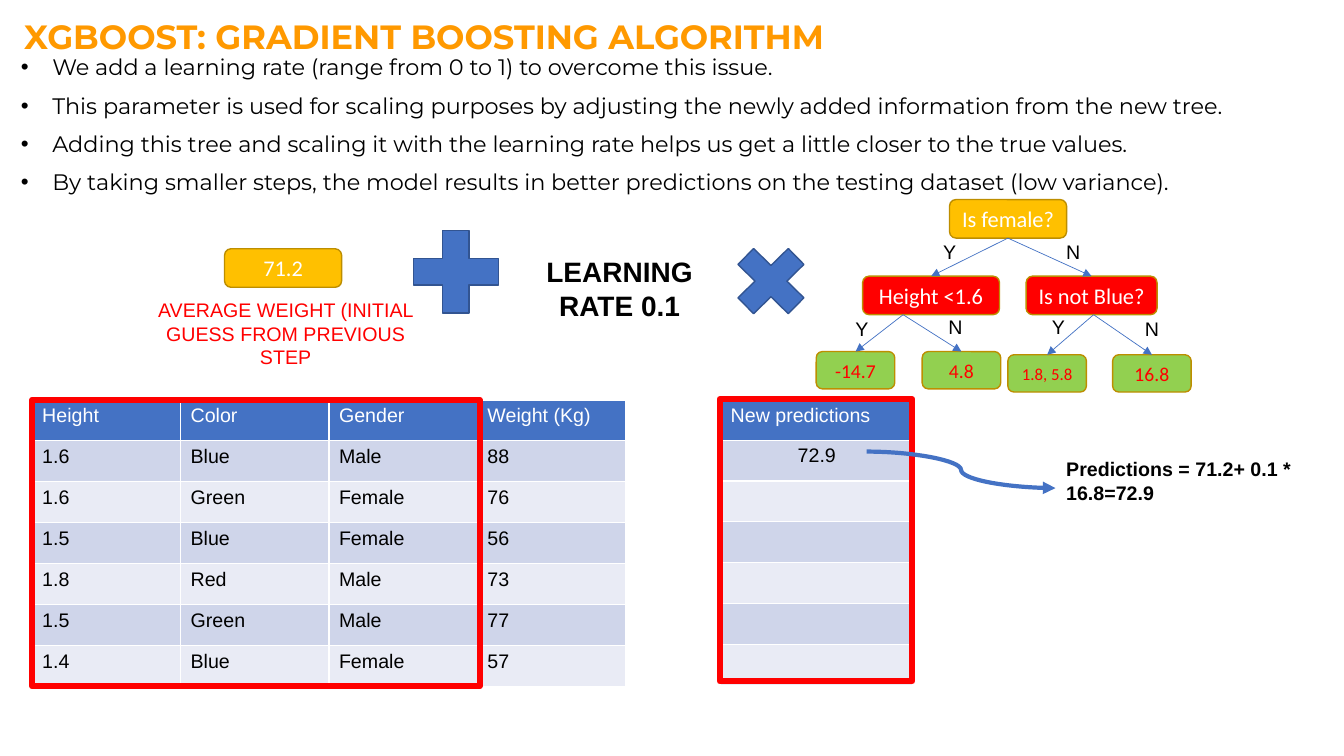
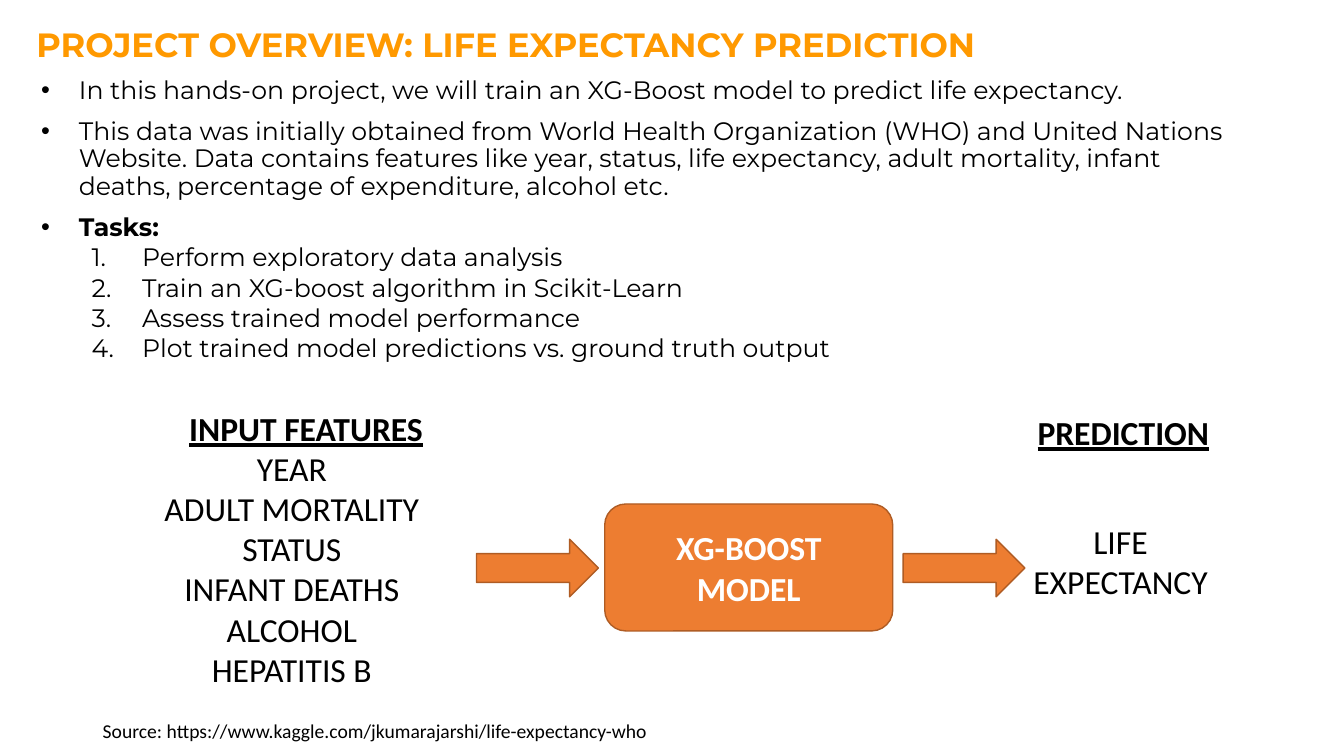
from lxml import etree
from pptx import Presentation
from pptx.dml.color import RGBColor
from pptx.enum.shapes import MSO_CONNECTOR, MSO_SHAPE
from pptx.enum.text import MSO_ANCHOR, PP_ALIGN
from pptx.oxml.ns import qn
from pptx.util import Cm, Pt

# Shared style
HEADING, BODY, PLAIN = "Montserrat", "Calibri", "Arial"
ORANGE_TITLE, BLACK, WHITE, RED = "FF9900", "000000", "FFFFFF", "FF0000"
BLUE, BLUE_EDGE = "4472C4", "325491"
GOLD, GOLD_EDGE, GREEN = "FFC000", "BD8E00", "92D050"
ORANGE, ORANGE_EDGE = "ED7D31", "AF5C24"
BANDS = ("CFD5EA", "E9EBF5")
ROW_HEIGHT = 1.03

# Boosting slide content (positions in cm: left, top, width, height)
BOOSTING_TITLE = "XGBOOST: GRADIENT BOOSTING ALGORITHM"
BOOSTING_POINTS = [
    "We add a learning rate (range from 0 to 1) to overcome this issue.",
    "This parameter is used for scaling purposes by adjusting the newly added information from the new tree.",
    "Adding this tree and scaling it with the learning rate helps us get a little closer to the true values.",
    "By taking smaller steps, the model results in better predictions on the testing dataset (low variance).",
]
# name: (text, box, fill, text colour, text size)
TREE_NODES = {
    "root": ("Is female?", (23.93, 5.03, 2.95, 0.97), GOLD, WHITE, 16),
    "height": ("Height <1.6", (21.74, 6.96, 3.45, 0.97), RED, WHITE, 16),
    "colour": ("Is not Blue?", (25.86, 6.96, 3.3, 0.97), RED, WHITE, 16),
    "leaf 1": ("-14.7", (20.57, 8.86, 1.98, 0.94), GREEN, RED, 14),
    "leaf 2": ("4.8", (23.24, 8.86, 1.98, 0.94), GREEN, RED, 14),
    "leaf 3": ("1.8, 5.8", (25.4, 8.94, 1.98, 0.94), GREEN, RED, 12),
    "leaf 4": ("16.8", (28.04, 8.94, 1.98, 0.94), GREEN, RED, 14),
}
# parent: (x where its branches start, children)
TREE_BRANCHES = {
    "root": (25.4, ("height", "colour")),
    "height": (22.76, ("leaf 1", "leaf 2")),
    "colour": (27.56, ("leaf 3", "leaf 4")),
}
BRANCH_LABELS = [
    ("Y", 23.52, 5.92), ("N", 26.62, 5.92), ("Y", 21.31, 7.87),
    ("N", 23.65, 7.8), ("Y", 26.26, 7.8), ("N", 28.6, 7.85),
]
WEIGHT_ROWS = [
    ("Height", "Color", "Gender", "Weight (Kg)"),
    ("1.6", "Blue", "Male", "88"),
    ("1.6", "Green", "Female", "76"),
    ("1.5", "Blue", "Female", "56"),
    ("1.8", "Red", "Male", "73"),
    ("1.5", "Green", "Male", "77"),
    ("1.4", "Blue", "Female", "57"),
]
PREDICTION_ROWS = [("New predictions",), ("72.9",)] + [("",)] * 5

# Project slide content
PROJECT_TITLE = "PROJECT OVERVIEW: LIFE EXPECTANCY PREDICTION"
PROJECT_POINTS = [
    "In this hands-on project, we will train an XG-Boost model to predict life expectancy.",
    "This data was initially obtained from World Health Organization (WHO) and United Nations Website. "
    "Data contains features like year, status, life expectancy, adult mortality, infant deaths, "
    "percentage of expenditure, alcohol etc.",
    "Tasks:",
]
TASKS = [
    "Perform exploratory data analysis",
    "Train an XG-boost algorithm in Scikit-Learn",
    "Assess trained model performance",
    "Plot trained model predictions vs. ground truth output",
]
FEATURES = ["YEAR", "ADULT MORTALITY", "STATUS", "INFANT DEATHS", "ALCOHOL", "HEPATITIS B"]
SOURCE = "Source: https://www.kaggle.com/jkumarajarshi/life-expectancy-who"


def rgb(value):
    return RGBColor.from_string(value)


def cm(values):
    return [Cm(value) for value in values]


def format_runs(paragraph, size, font, color, bold=False, underline=False):
    for run in paragraph.runs:
        run.font.size = Pt(size)
        run.font.name = font
        run.font.color.rgb = rgb(color)
        run.font.bold = bold
        run.font.underline = underline


def write_text(shape, lines, size, font=BODY, color=BLACK, bold=False, underline=False,
               centered=False, wrap=True, margin=0.25):
    frame = shape.text_frame
    frame.word_wrap = wrap
    frame.margin_left = frame.margin_right = Cm(margin)
    frame.text = "\n".join(lines) if isinstance(lines, list) else lines
    for paragraph in frame.paragraphs:
        paragraph.alignment = PP_ALIGN.CENTER if centered else PP_ALIGN.LEFT
        format_runs(paragraph, size, font, color, bold, underline)


def add_text(slide, box, lines, size, **style):
    shape = slide.shapes.add_textbox(*cm(box))
    write_text(shape, lines, size, **style)
    return shape


def add_title(slide, box, text):
    add_text(slide, box, text, 24, font=HEADING, color=ORANGE_TITLE, bold=True, margin=0.13)


def add_box(slide, kind, box, fill=None, edge=BLACK, edge_width=1):
    shape = slide.shapes.add_shape(kind, *cm(box))
    shape.shadow.inherit = False
    if fill:
        shape.fill.solid()
        shape.fill.fore_color.rgb = rgb(fill)
    else:
        shape.fill.background()
    shape.line.color.rgb = rgb(edge)
    shape.line.width = Pt(edge_width)
    shape.text_frame.vertical_anchor = MSO_ANCHOR.MIDDLE
    return shape


def add_node(slide, text, box, fill, color, size):
    shape = add_box(slide, MSO_SHAPE.ROUNDED_RECTANGLE, box, fill, GOLD_EDGE)
    write_text(shape, text, size, color=color, centered=True, wrap=False)


def add_arrow(slide, kind, start, end, width):
    connector = slide.shapes.add_connector(kind, *cm(start + end))
    connector.line.color.rgb = rgb(BLUE)
    connector.line.width = Pt(width)
    line = connector.line._get_or_add_ln()
    etree.SubElement(line, qn("a:tailEnd"), type="triangle")
    etree.SubElement(connector._element.spPr, qn("a:effectLst"))


def set_bullet(paragraph, left, hanging, tag, **attributes):
    properties = paragraph._p.get_or_add_pPr()
    properties.set("marL", str(Cm(left)))
    properties.set("indent", str(-Cm(hanging)))
    color = etree.SubElement(properties, qn("a:buClr"))
    etree.SubElement(color, qn("a:srgbClr"), val=BLACK)
    if tag == "a:buChar":
        etree.SubElement(properties, qn("a:buFont"), typeface=PLAIN)
    etree.SubElement(properties, qn(tag), **attributes)


def add_points(slide, box, points, size, indent, tasks=()):
    shape = add_text(slide, box, [*points, *tasks], size, font=HEADING)
    for index, paragraph in enumerate(shape.text_frame.paragraphs):
        if index >= len(points):
            paragraph.level = 1
            set_bullet(paragraph, 2.54, 1.27, "a:buAutoNum", type="arabicPeriod")
            continue
        set_bullet(paragraph, indent, indent, "a:buChar", char="•")
        paragraph.line_spacing = 0.9
        if index:
            paragraph.space_before = Pt(10)
    return shape


def add_data_table(slide, left, top, column_width, rows, centered=False):
    columns = len(rows[0])
    table = slide.shapes.add_table(len(rows), columns, *cm(
        (left, top, column_width * columns, ROW_HEIGHT * len(rows)))).table
    for column in table.columns:
        column.width = Cm(column_width)
    for row_index, row in enumerate(rows):
        table.rows[row_index].height = Cm(ROW_HEIGHT)
        for column_index, text in enumerate(row):
            cell = table.cell(row_index, column_index)
            header = row_index == 0
            cell.fill.solid()
            cell.fill.fore_color.rgb = rgb(BLUE if header else BANDS[(row_index - 1) % 2])
            cell.text_frame.text = text
            paragraph = cell.text_frame.paragraphs[0]
            if centered and not header:
                paragraph.alignment = PP_ALIGN.CENTER
            format_runs(paragraph, 14, PLAIN, WHITE if header else BLACK)


def add_tree(slide):
    for node in TREE_NODES.values():
        add_node(slide, *node)
    for parent, (start_x, children) in TREE_BRANCHES.items():
        _, parent_top, _, parent_height = TREE_NODES[parent][1]
        for child in children:
            left, top, width, _ = TREE_NODES[child][1]
            add_arrow(slide, MSO_CONNECTOR.STRAIGHT, (start_x, parent_top + parent_height),
                      (left + width / 2, top), 0.5)
    for text, left, top in BRANCH_LABELS:
        add_text(slide, (left, top, 0.9, 1.02), text, 14, font=PLAIN, wrap=False)


def build_boosting_slide(slide):
    add_title(slide, (0.48, 0.28, 22.86, 2.64), BOOSTING_TITLE)
    add_points(slide, (0.28, 1.3, 33.5, 4.75), BOOSTING_POINTS, 16, 0.79)
    add_tree(slide)

    # Formula: initial guess + learning rate x tree
    add_node(slide, "71.2", (5.66, 6.27, 2.95, 0.97), GOLD, WHITE, 16)
    add_text(slide, (3.7, 7.39, 7, 2.57), "AVERAGE WEIGHT (INITIAL GUESS FROM PREVIOUS STEP",
             14, font=PLAIN, color=RED, centered=True)
    add_box(slide, MSO_SHAPE.MATH_PLUS, (10.03, 5.44, 2.92, 2.82), BLUE, BLUE_EDGE)
    add_text(slide, (13, 6.3, 5.23, 1.96), "LEARNING RATE 0.1", 20, font=PLAIN, bold=True, centered=True)
    add_box(slide, MSO_SHAPE.MATH_MULTIPLY, (18.21, 5.89, 2.44, 2.39), BLUE, BLUE_EDGE)

    # Tables with red frames
    add_data_table(slide, 0.81, 10.08, 3.74, WEIGHT_ROWS)
    add_data_table(slide, 18.16, 10.06, 4.85, PREDICTION_ROWS, centered=True)
    for frame in ((0.81, 10.08, 11.28, 7.21), (18.14, 10.06, 4.85, 7.11)):
        add_box(slide, MSO_SHAPE.RECTANGLE, frame, edge=RED, edge_width=4.5)

    # Worked prediction
    add_text(slide, (26.62, 11.4, 7.2, 1.8), "Predictions = 71.2+ 0.1 * 16.8=72.9", 14, font=PLAIN, bold=True)
    add_arrow(slide, MSO_CONNECTOR.CURVE, (21.84, 11.38), (26.6, 12.3), 3)


def build_project_slide(slide):
    add_title(slide, (0.79, 0.48, 33.07, 1.96), PROJECT_TITLE)
    points = add_points(slide, (0.79, 1.83, 30.48, 8.97), PROJECT_POINTS, 18, 0.95, TASKS)
    points.text_frame.paragraphs[len(PROJECT_POINTS) - 1].runs[0].font.bold = True

    # Inputs, model and output
    add_text(slide, (4.52, 10.16, 7.29, 1.27), "INPUT FEATURES", 24, bold=True, underline=True)
    add_text(slide, (1.93, 11.15, 10.85, 6.4), FEATURES, 24, centered=True)
    model = add_box(slide, MSO_SHAPE.ROUNDED_RECTANGLE, (15.24, 12.7, 7.26, 3.2), ORANGE, ORANGE_EDGE)
    write_text(model, "XG-BOOST MODEL", 24, color=WHITE, bold=True, centered=True, margin=0.5)
    for left in (12.01, 22.76):
        add_box(slide, MSO_SHAPE.RIGHT_ARROW, (left, 13.59, 3.07, 1.45), ORANGE, ORANGE_EDGE)
    add_text(slide, (24.59, 10.26, 7.44, 1.27), "PREDICTION", 24, bold=True, underline=True, centered=True)
    add_text(slide, (25.37, 13, 5.74, 2.31), "LIFE EXPECTANCY", 24, centered=True)

    add_text(slide, (2.34, 18, 20, 0.86), SOURCE, 14)


def main():
    presentation = Presentation()
    presentation.slide_width, presentation.slide_height = Cm(33.87), Cm(19.05)
    for build in (build_boosting_slide, build_project_slide):
        build(presentation.slides.add_slide(presentation.slide_layouts[6]))
    presentation.save("out.pptx")


if __name__ == "__main__":
    main()
